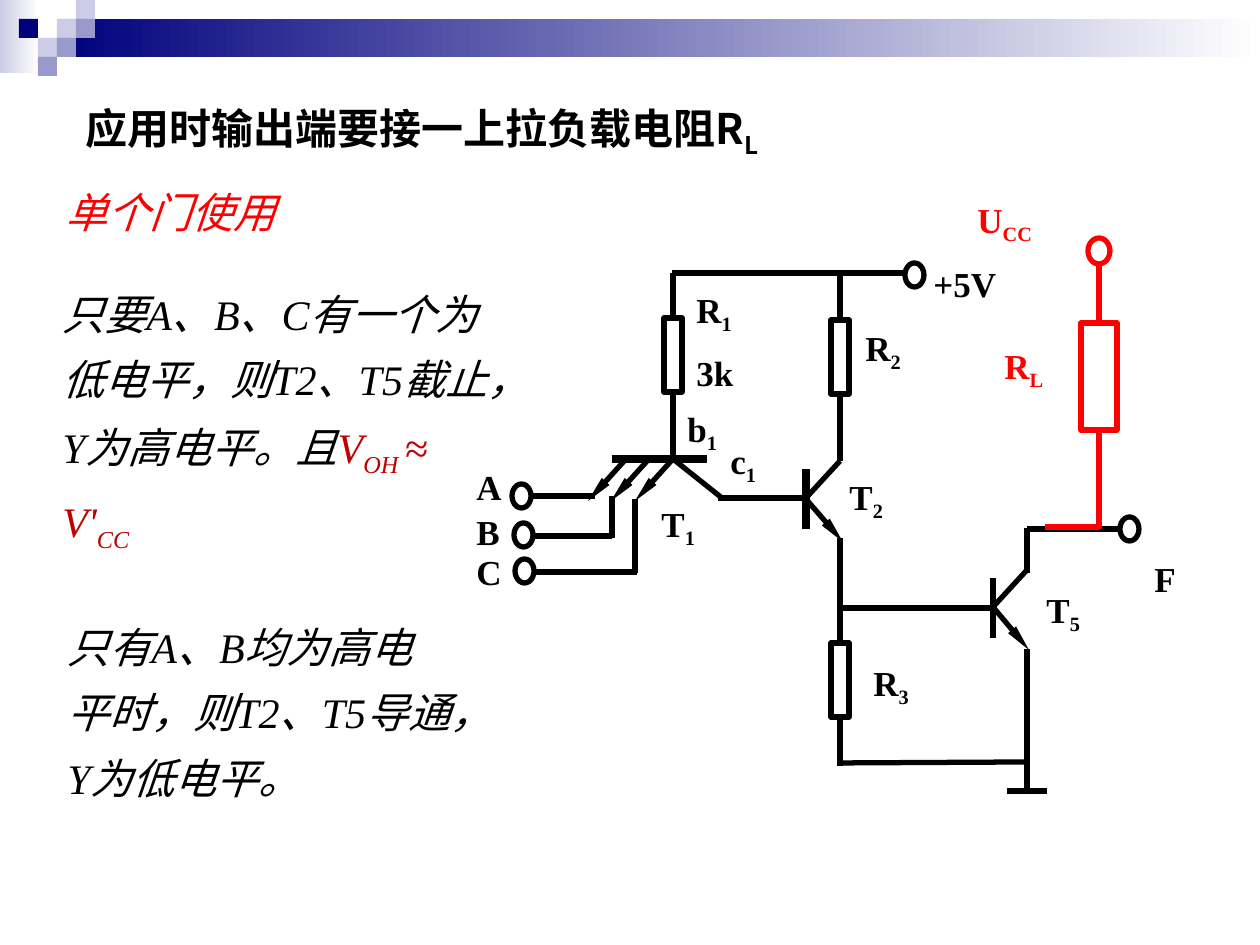
from lxml import etree
from pptx import Presentation
from pptx import util as u
from pptx.dml.color import RGBColor
from pptx.enum import shapes, text
from pptx.oxml.ns import qn

PX = 914400 // 126
COLORS = {"black": "000000", "red": "FF0000", "crimson": "C00000", "white": "FFFFFF",
          "navy": "00007D", "violet": "9999CC", "lilac": "CCCCE6"}
SERIF, SANS = "Times New Roman", "Noto Sans CJK SC"
TOP, BOTTOM = 0, 2


def rgb(name):
    return RGBColor.from_string(COLORS[name])


def add_shape(slide, kind, left, top, width, height):
    shape = slide.shapes.add_shape(kind, left * PX, top * PX, width * PX, height * PX)
    shape.shadow.inherit = False
    return shape


def add_block(slide, box, color, fade=False):
    """Borderless rectangle, solid or fading to white towards the right."""
    shape = add_shape(slide, shapes.MSO_SHAPE.RECTANGLE, *box)
    shape.line.fill.background()
    if fade:
        shape.fill.gradient()
        shape.fill.gradient_angle = 0
        for stop, name in zip(shape.fill.gradient_stops, (color, "white")):
            stop.color.rgb = rgb(name)
    else:
        shape.fill.solid()
        shape.fill.fore_color.rgb = rgb(color)


def add_text(slide, left, top, width, height, runs, size=20, font=SERIF,
             bold=False, italic=False, spacing=None):
    """Runs are (wording, colour, is_subscript)."""
    box = slide.shapes.add_textbox(left * PX, top * PX, width * PX, height * PX)
    frame = box.text_frame
    frame.word_wrap = True
    frame.auto_size = text.MSO_AUTO_SIZE.NONE
    paragraph = frame.paragraphs[0]
    if spacing:
        paragraph.line_spacing = spacing
    for wording, color, subscript in runs:
        run = paragraph.add_run()
        run.text = wording
        run.font.size = u.Pt(size)
        run.font.name = font
        run.font.bold = bold
        run.font.italic = italic
        run.font.color.rgb = rgb(color)
        properties = run.font._element
        etree.SubElement(properties, qn("a:ea")).set("typeface", SANS)
        if subscript:
            properties.set("baseline", "-25000")


class Circuit:
    """Draws circuit symbols in one colour, relative to an origin in px."""

    def __init__(self, slide, left, top, color):
        self.slide, self.left, self.top, self.color = slide, left, top, color

    def wire(self, x1, y1, x2, y2, width=3, arrow=False):
        connector = self.slide.shapes.add_connector(
            shapes.MSO_CONNECTOR.STRAIGHT,
            (self.left + x1) * PX, (self.top + y1) * PX,
            (self.left + x2) * PX, (self.top + y2) * PX)
        connector.line.color.rgb = rgb(self.color)
        connector.line.width = u.Pt(width)
        if arrow:
            tail = etree.SubElement(connector.line._get_or_add_ln(), qn("a:tailEnd"))
            for key, value in (("type", "triangle"), ("w", "sm"), ("len", "lg")):
                tail.set(key, value)
        etree.SubElement(connector._element.spPr, qn("a:effectLst"))
        return connector

    def outline(self, kind, x, y, width, height):
        shape = add_shape(self.slide, kind, self.left + x, self.top + y, width, height)
        shape.fill.background()
        shape.line.color.rgb = rgb(self.color)
        shape.line.width = u.Pt(3)
        return shape

    def terminal(self, x, y, width=19, height=24):
        self.outline(shapes.MSO_SHAPE.OVAL, x, y, width, height)

    def resistor(self, x, start, top, bottom, end, width=18):
        """Resistor centred on x, with leads up to start and down to end."""
        body = self.outline(shapes.MSO_SHAPE.RECTANGLE, x - width // 2, top,
                            width, bottom - top)
        self.wire(x, top, x, start).begin_connect(body, TOP)
        self.wire(x, bottom, x, end).begin_connect(body, BOTTOM)

    def label(self, x, y, width, name, subscript=""):
        runs = [(name, self.color, False)]
        if subscript:
            runs.append((subscript, self.color, True))
        add_text(self.slide, self.left + x, self.top + y, width,
                 60 if subscript else 55, runs, bold=True)


def draw_header(slide, left, top, width):
    cell = 19
    add_block(slide, (left, top, 39, 73), "lilac", fade=True)
    add_block(slide, (left + 3 * cell, top + cell, width - 3 * cell, 2 * cell),
              "navy", fade=True)
    for column, row, color in [(3, 1, "lilac"), (4, 0, "lilac"), (4, 1, "violet"),
                               (2, 2, "lilac"), (1, 1, "navy"), (3, 2, "violet"),
                               (2, 3, "violet")]:
        add_block(slide, (left + column * cell, top + row * cell, cell, cell), color)


def draw_gate(slide, left, top):
    gate = Circuit(slide, left, top, "black")
    gate.wire(148, 203, 243, 203, width=4.5)
    for emitter in (209, 185, 162):
        gate.wire(emitter, 203, emitter - 38, 245, arrow=True)
    gate.wire(342, 213, 342, 273, width=4.5)
    gate.wire(342, 243, 379, 286, arrow=True)
    gate.wire(529, 351, 565, 394, arrow=True)
    gate.resistor(209, 17, 62, 136, 203)
    gate.resistor(376, 17, 64, 138, 205)
    gate.resistor(376, 282, 387, 461, 510)
    for ends in [
        (209, 203, 258, 242), (254, 242, 342, 242), (342, 242, 376, 205),
        (208, 17, 441, 17),
        (529, 322, 529, 382), (529, 351, 563, 314), (528, 352, 376, 352),
        (376, 507, 563, 506), (563, 393, 563, 536), (543, 535, 583, 535),
        (563, 273, 657, 273), (563, 272, 563, 317),
        (131, 240, 66, 240),
        (148, 240, 148, 282), (148, 280, 69, 280),
        (171, 243, 171, 317), (173, 316, 70, 316),
    ]:
        gate.wire(*ends)
    for position in [(441, 7), (656, 261), (48, 228), (50, 267), (51, 303)]:
        gate.terminal(*position)
    for label in [
        (457, 0, 123, "+5V"), (678, 295, 73, "F"), (389, 64, 103, "R", "2"),
        (220, 26, 103, "R", "1"), (220, 89, 122, "3k"), (373, 213, 60, "T", "2"),
        (397, 399, 102, "R", "3"), (185, 240, 72, "T", "1"), (570, 326, 66, "T", "5"),
        (211, 145, 79, "b", "1"), (254, 177, 100, "c", "1"),
        (0, 203, 69, "A"), (0, 248, 69, "B"), (0, 288, 69, "C"),
    ]:
        gate.label(*label)


def draw_pull_up(slide, left, top):
    pull_up = Circuit(slide, left, top, "red")
    pull_up.wire(80, 335, 134, 335)
    pull_up.resistor(134, 73, 131, 238, 337, width=36)
    pull_up.terminal(123, 46, 22, 26)
    pull_up.label(27, 146, 126, "R", "L")
    pull_up.label(0, 0, 155, "U", "CC")


def write_explanation(slide, left, top):
    add_text(slide, left + 23, top, 939, 70,
             [("应用时输出端要接一上拉负载电阻R", "black", False), ("L", "black", True)],
             size=24, font=SANS, bold=True)
    add_text(slide, left + 3, top + 84, 311, 63, [("单个门使用", "red", False)],
             size=24, italic=True)
    add_text(slide, left, top + 171, 467, 284,
             [("只要A、B、C有一个为低电平，则T2、T5截止，Y为高电平。且", "black", False),
              ("V", "crimson", False), ("OH ", "crimson", True),
              ("≈ V'", "crimson", False), ("CC", "crimson", True)],
             size=24, italic=True, spacing=1.3)
    add_text(slide, left + 5, top + 504, 411, 209,
             [("只有A、B均为高电平时，则T2、T5导通，Y为低电平。", "black", False)],
             size=24, italic=True, spacing=1.3)


def main():
    presentation = Presentation()
    presentation.slide_width = u.Inches(10)
    presentation.slide_height = u.Inches(7.5)
    slide = presentation.slides.add_slide(presentation.slide_layouts[6])
    draw_header(slide, 0, 0, 1260)
    draw_gate(slide, 464, 256)
    draw_pull_up(slide, 965, 192)
    write_explanation(slide, 50, 96)
    presentation.save("out.pptx")


if __name__ == "__main__":
    main()
